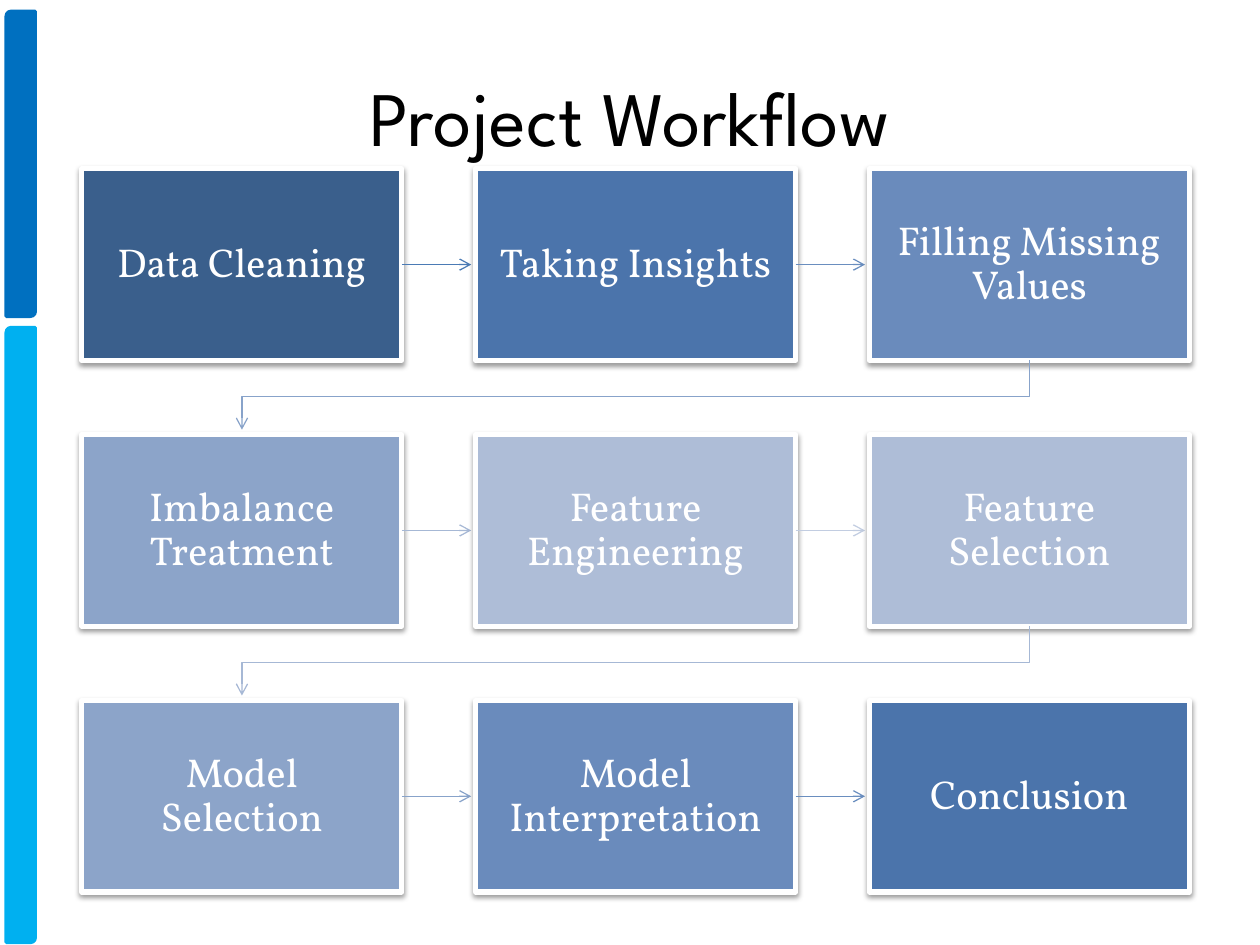
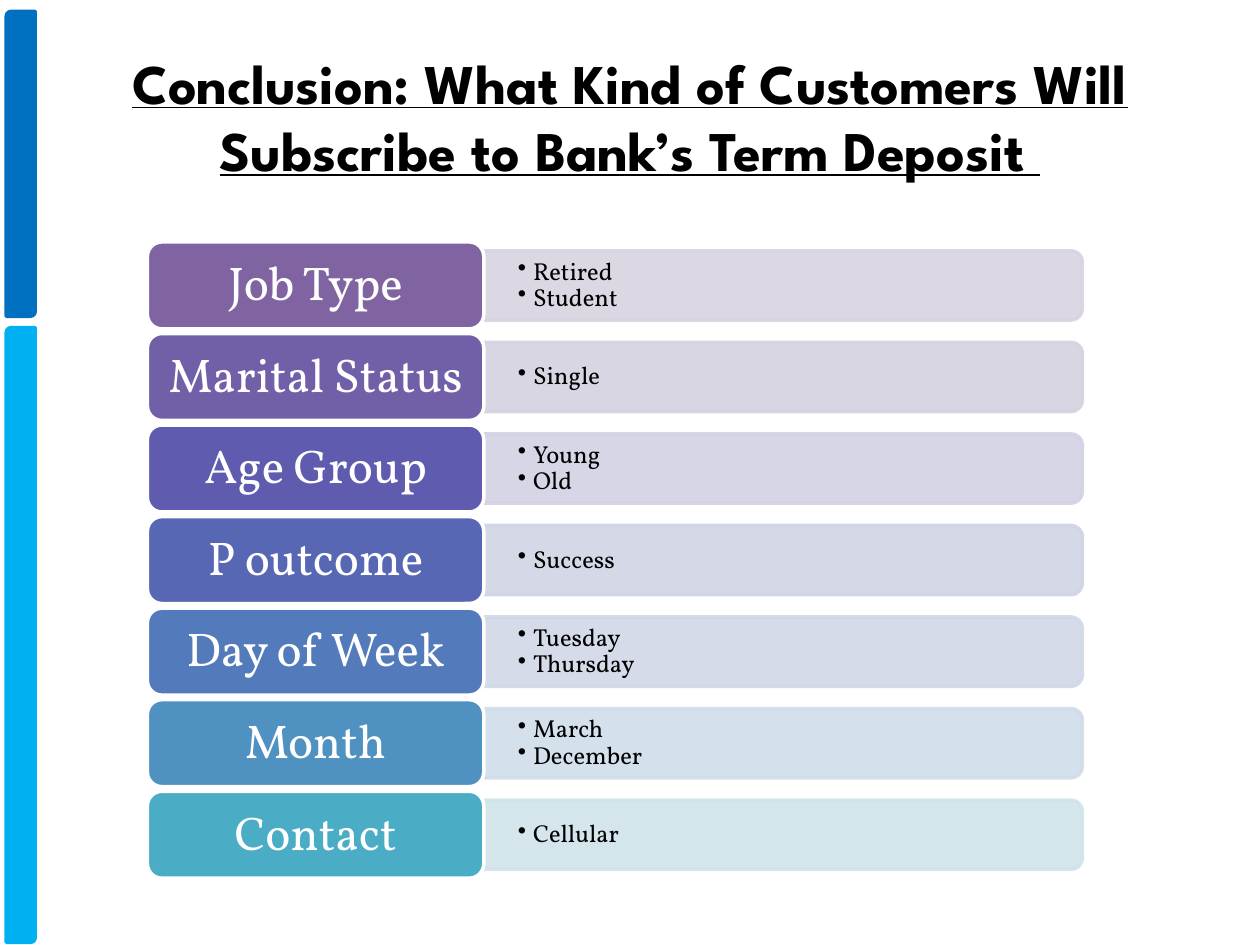
from dataclasses import dataclass

from lxml import etree
from pptx import Presentation
from pptx.dml.color import RGBColor
from pptx.enum.shapes import MSO_CONNECTOR, MSO_SHAPE
from pptx.enum.text import MSO_ANCHOR, PP_ALIGN
from pptx.oxml.ns import qn
from pptx.util import Inches, Pt

RECTANGLE = MSO_SHAPE.RECTANGLE
ROUNDED = MSO_SHAPE.ROUNDED_RECTANGLE
ROUNDED_TOP = MSO_SHAPE.ROUND_2_SAME_RECTANGLE
ROUNDED_DIAGONAL = MSO_SHAPE.ROUND_2_DIAG_RECTANGLE
STRAIGHT = MSO_CONNECTOR.STRAIGHT
MIDDLE = MSO_ANCHOR.MIDDLE
CENTER = PP_ALIGN.CENTER
LEFT = PP_ALIGN.LEFT
RIGHT_SIDE = 3


@dataclass(frozen=True)
class Theme:
    title_font: str = "League Spartan"
    body_font: str = "Vollkorn"
    black: str = "000000"
    white: str = "FFFFFF"
    band_dark: str = "0070C0"
    band_light: str = "00B0F0"
    title_size: int = 44
    long_title_size: int = 32
    step_size: int = 23
    label_size: int = 27
    detail_size: int = 14
    spacing: float = 0.9


STEPS = [
    ("Data Cleaning", "3A5F8C", "4B7BB5"),
    ("Taking Insights", "4B74AB", "6A8EBF"),
    ("Filling Missing Values", "6A8BBC", "88A3CA"),
    ("Imbalance Treatment", "8CA4C9", "A6B8D5"),
    ("Feature Engineering", "AEBDD7", "C2CDE1"),
    ("Feature Selection", "AEBDD7", "A6B8D5"),
    ("Model Selection", "8CA4C9", "88A3CA"),
    ("Model Interpretation", "6A8BBC", "6A8EBF"),
    ("Conclusion", "4B74AB", None),
]

TRAITS = [
    ("Job Type", ["Retired", "Student"], "8064A2", "D8D3E0"),
    ("Marital Status", ["Single"], "7160A8", "D5D2E2"),
    ("Age Group", ["Young", "Old"], "5F5BAE", "D2D2E4"),
    ("P outcome", ["Success"], "5767B4", "D1D4E5"),
    ("Day of Week", ["Tuesday", "Thursday"], "537ABA", "D1D8E7"),
    ("Month", ["March", "December"], "4F91C0", "D0DDE9"),
    ("Contact", ["Cellular"], "4BACC6", "D0E3EA"),
]


def assign(target, values):
    for name, value in values.items():
        setattr(target, name, value)


def add_xml(parent, tag, **attributes):
    return etree.SubElement(parent, qn(tag), attributes)


class SlideBuilder:
    def __init__(self, deck, theme):
        self.deck = deck
        self.theme = theme
        self.slide = None

    def new_slide(self, title, size, **emphasis):
        self.slide = self.deck.slides.add_slide(self.deck.slide_layouts[6])
        bands = [(0.09, 2.42, self.theme.band_dark), (2.6, 4.88, self.theme.band_light)]
        for top, height, color in bands:
            self.shape(ROUNDED_DIAGONAL, 0.05, top, 0.23, height, color, color, 2)
        box = self.slide.shapes.add_textbox(Inches(0.5), Inches(0.29), Inches(9), Inches(1.25))
        self.fill_text(box, [title], size, self.theme.black, 0.1, CENTER,
                       font=self.theme.title_font, spacing=1.0, **emphasis)

    def fill_text(self, shape, lines, size, color, inset, align, font=None, spacing=None,
                  hanging=None, **emphasis):
        frame = shape.text_frame
        assign(frame, {"word_wrap": True, "vertical_anchor": MIDDLE,
                       "margin_left": Inches(inset), "margin_right": Inches(inset),
                       "margin_top": Inches(0.05), "margin_bottom": Inches(0.05)})
        for index, line in enumerate(lines):
            para = frame.add_paragraph() if index else frame.paragraphs[0]
            assign(para, {"alignment": align, "line_spacing": spacing or self.theme.spacing})
            if hanging:
                self.bullet(para, hanging)
            span = para.add_run()
            span.text = line
            assign(span.font, {"name": font or self.theme.body_font, "size": Pt(size), **emphasis})
            span.font.color.rgb = RGBColor.from_string(color)

    def bullet(self, para, hanging):
        properties = para._p.get_or_add_pPr()
        properties.set("marL", str(Inches(hanging)))
        properties.set("indent", str(-Inches(hanging)))
        add_xml(properties, "a:buChar", char="•")

    def shape(self, kind, left, top, width, height, fill, line, line_width):
        shape = self.slide.shapes.add_shape(
            kind, Inches(left), Inches(top), Inches(width), Inches(height))
        shape.fill.solid()
        shape.fill.fore_color.rgb = RGBColor.from_string(fill)
        self.outline(shape, line, line_width)
        shape.shadow.inherit = False
        return shape

    def outline(self, shape, color, width):
        shape.line.color.rgb = RGBColor.from_string(color)
        shape.line.width = Pt(width)

    def drop_shadow(self, shape):
        effects = shape.element.spPr.find(qn("a:effectLst"))
        shadow = add_xml(effects, "a:outerShdw", blurRad=str(Pt(3.1)), dist=str(Pt(1.6)),
                         dir="5400000", rotWithShape="0")
        color = add_xml(shadow, "a:srgbClr", val=self.theme.black)
        add_xml(color, "a:alpha", val="38000")

    def arrowhead(self, shape, color):
        self.outline(shape, color, 0.75)
        add_xml(shape.element.spPr.find(qn("a:ln")), "a:tailEnd", type="arrow")

    def step(self, text, left, top, width, height, fill):
        box = self.shape(RECTANGLE, left, top, width, height, fill, self.theme.white, 3)
        self.drop_shadow(box)
        self.fill_text(box, [text], self.theme.step_size, self.theme.white, 0.18, CENTER)
        return box

    def arrow_from(self, box, length, color):
        start = box.left + box.width
        middle = box.top + box.height // 2
        arrow = self.slide.shapes.add_connector(
            STRAIGHT, start, middle, start + Inches(length), middle)
        arrow.begin_connect(box, RIGHT_SIDE)
        self.arrowhead(arrow, color)
        add_xml(arrow.element.spPr, "a:effectLst")

    def bent_arrow(self, points, color):
        corners = [(Inches(x), Inches(y)) for x, y in points]
        builder = self.slide.shapes.build_freeform(*corners[0])
        builder.add_line_segments(corners[1:], close=False)
        arrow = builder.convert_to_shape()
        arrow.fill.background()
        arrow.shadow.inherit = False
        self.arrowhead(arrow, color)

    def trait_panel(self, lines, left, top, width, height, color):
        shift = (width - height) / 2
        panel = self.shape(ROUNDED_TOP, left + shift, top - shift, height, width, color, color, 2)
        panel.rotation = 90
        for shade in list(panel.element.spPr.iter(qn("a:srgbClr"))):
            add_xml(shade, "a:alpha", val="90000")
        box = self.slide.shapes.add_textbox(
            Inches(left), Inches(top), Inches(width), Inches(height))
        self.fill_text(box, lines, self.theme.detail_size, self.theme.black, 0.27, LEFT,
                       hanging=0.12)

    def trait_label(self, text, left, top, width, height, color):
        label = self.shape(ROUNDED, left, top, width, height, color, self.theme.white, 2)
        self.fill_text(label, [text], self.theme.label_size, self.theme.white, 0.1, CENTER)


def build_workflow(page):
    page.new_slide("Project Workflow", page.theme.title_size)
    columns, left, top = 3, 0.65, 1.34
    width, height = 2.54, 1.52
    column_pitch, row_pitch = (6.9 - left) / (columns - 1), 2.11
    for index, (text, fill, arrow_color) in enumerate(STEPS):
        row, column = divmod(index, columns)
        x, y = left + column * column_pitch, top + row * row_pitch
        box = page.step(text, x, y, width, height, fill)
        if arrow_color is None:
            continue
        if column < columns - 1:
            page.arrow_from(box, 0.55, arrow_color)
        else:
            start, end, bottom = x + width / 2, left + width / 2, y + height
            turn = bottom + 0.29
            page.bent_arrow([(start, bottom), (start, turn), (end, turn), (end, bottom + 0.55)],
                            arrow_color)


def build_conclusion(page):
    page.new_slide("Conclusion: What Kind of Customers Will Subscribe to Bank’s Term Deposit ",
                   page.theme.long_title_size, bold=True, underline=True)
    first, last = 1.92, 6.28
    pitch = (last - first) / (len(TRAITS) - 1)
    for index, (name, details, label_color, panel_color) in enumerate(TRAITS):
        top = first + index * pitch
        page.trait_panel(details, 3.84, top + 0.07, 4.75, 0.55, panel_color)
        page.trait_label(name, 1.17, top, 2.67, 0.69, label_color)


def main():
    deck = Presentation()
    assign(deck, {"slide_width": Inches(10), "slide_height": Inches(7.5)})
    page = SlideBuilder(deck, Theme())
    build_workflow(page)
    build_conclusion(page)
    deck.save("out.pptx")


if __name__ == "__main__":
    main()
